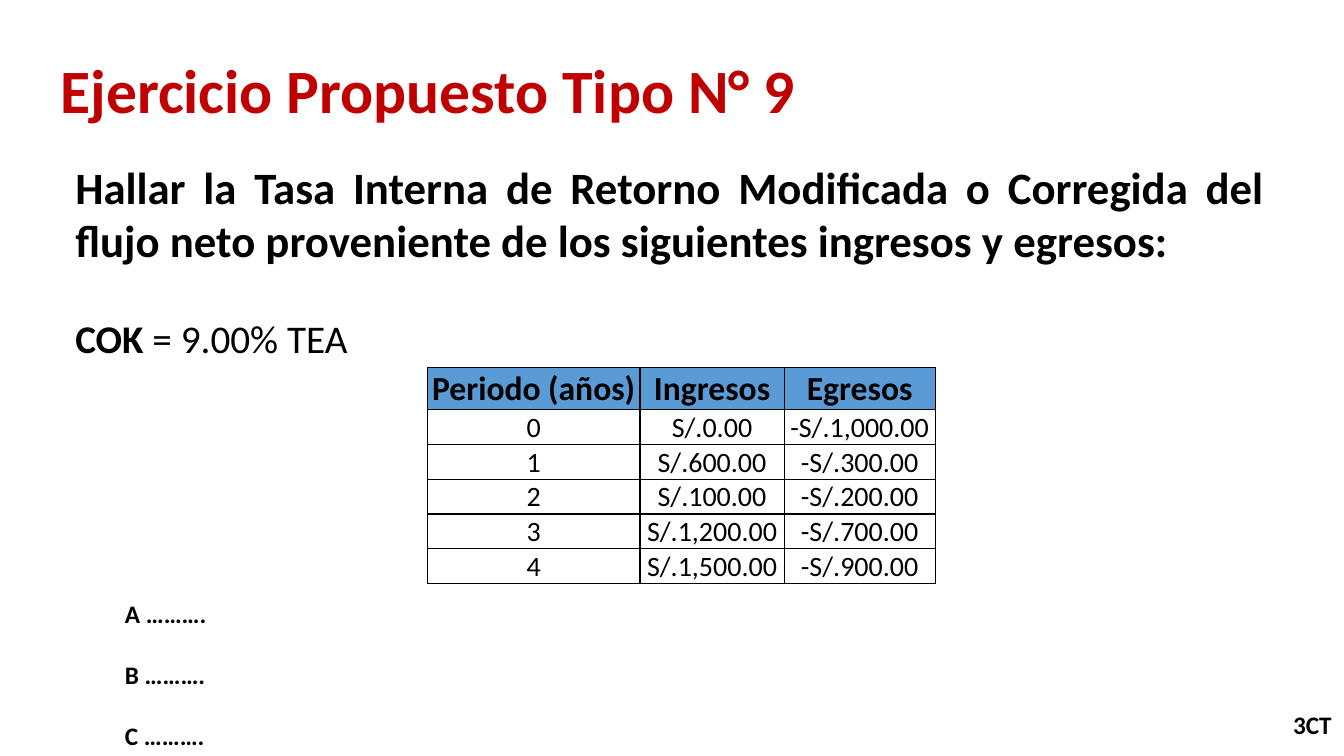
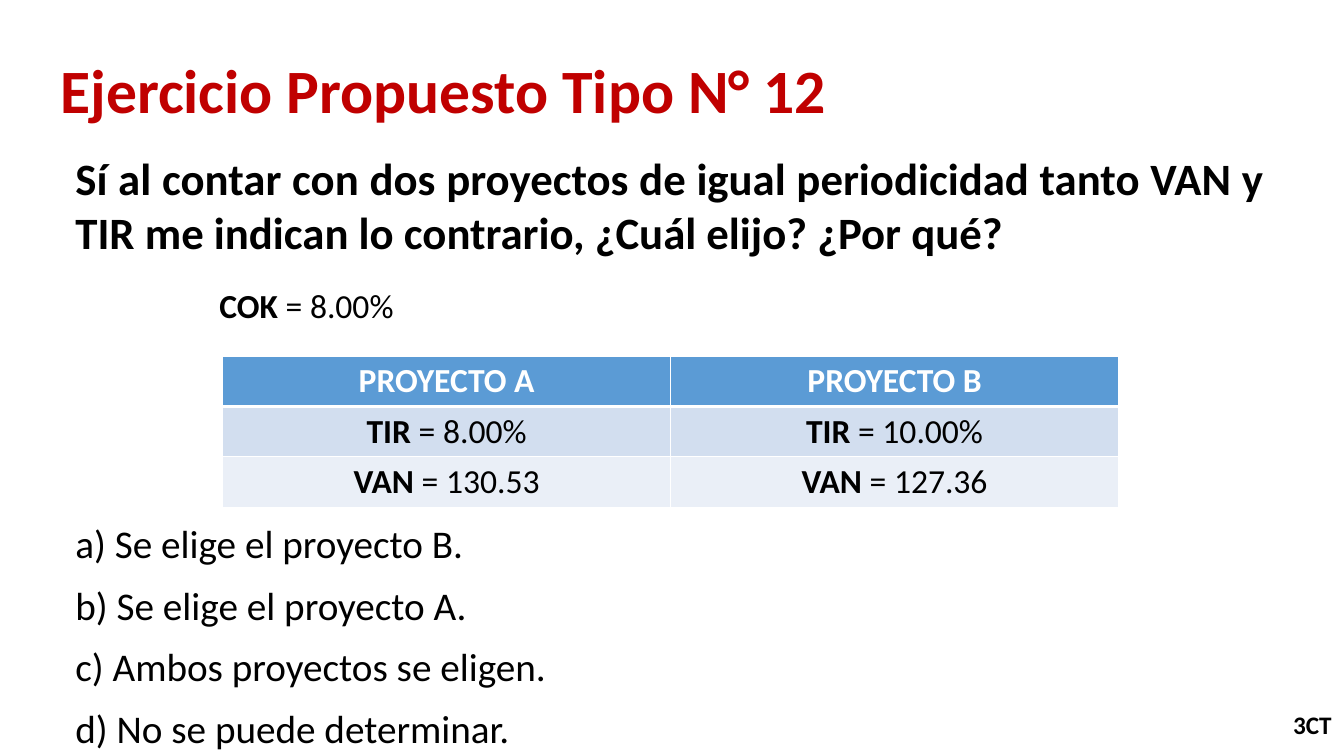
"""Builds two finance exercise slides, each with a statement, a table and answer options."""
import pptx
import pptx.dml.color
import pptx.enum.text
import pptx.oxml
import pptx.oxml.ns
import pptx.util

Cm, Pt = pptx.util.Cm, pptx.util.Pt
ALIGN = pptx.enum.text.PP_ALIGN
ANCHOR = pptx.enum.text.MSO_ANCHOR

FONT = "Calibri"
RED, BLACK, WHITE, BLUE = "C00000", "000000", "FFFFFF", "5B9BD5"
TITLE_BOX = (1.27, 0.76, 22.86, 3.18)
TAG, TAG_BOX = "3CT", (32.26, 17.45, 1.55, 1.6)

SLIDES = [
    {
        "title": "Ejercicio Propuesto Tipo N° 9",
        "texts": [
            {"box": (1.65, 3.89, 30.48, 5.38), "paragraphs": [
                {"runs": [("Hallar la Tasa Interna de Retorno Modificada o Corregida del "
                           "flujo neto proveniente de los siguientes ingresos y egresos:", True)],
                 "size": 32},
                {"runs": [("COK", True), (" = 9.00% TEA", False)], "size": 28, "before": 34}]},
            {"box": (2.9, 14.94, 2.59, 4.11), "wrap": False, "paragraphs": [
                {"runs": [(f"{letter} ……….", True)], "size": 18, "before": before}
                for letter, before in (("A", 0), ("B", 22), ("C", 22))]},
        ],
        "table": {
            "at": (10.77, 9.27), "cols": (5.36, 3.63, 3.81), "head_height": 1.04,
            "row_height": 0.87, "sizes": (24, 20), "head_color": BLACK, "bands": (None,),
            "line": BLACK, "head_rule": 1, "tight": True,
            "head": ["Periodo (años)", "Ingresos", "Egresos"],
            "rows": [
                ["0", "S/.0.00", "-S/.1,000.00"],
                ["1", "S/.600.00", "-S/.300.00"],
                ["2", "S/.100.00", "-S/.200.00"],
                ["3", "S/.1,200.00", "-S/.700.00"],
                ["4", "S/.1,500.00", "-S/.900.00"],
            ],
        },
    },
    {
        "title": "Ejercicio Propuesto Tipo N° 12",
        "texts": [
            {"box": (1.65, 3.68, 30.48, 3), "paragraphs": [
                {"runs": [("Sí al contar con dos proyectos de igual periodicidad tanto VAN y "
                           "TIR me indican lo contrario, ¿Cuál elijo? ¿Por qué?", True)],
                 "size": 32}]},
            {"box": (-0.76, 7.06, 16.97, 1.27), "paragraphs": [
                {"runs": [("COK", True), (" = 8.00%", False)], "size": 24,
                 "align": ALIGN.CENTER}]},
            {"box": (1.65, 12.88, 17.6, 6.17), "paragraphs": [
                {"runs": [(option, False)], "size": 28, "after": 8, "spacing": 1.07}
                for option in ("a) Se elige el proyecto B.", "b) Se elige el proyecto A.",
                               "c) Ambos proyectos se eligen.", "d) No se puede determinar.")]},
        ],
        "table": {
            "at": (5.61, 8.97), "cols": (11.29, 11.29), "head_height": 1.27,
            "row_height": 1.27, "sizes": (24, 24), "head_color": WHITE,
            "bands": ("D2DEEF", "EAEFF7"), "line": WHITE, "head_rule": 3, "tight": False,
            "head": ["PROYECTO A", "PROYECTO B"],
            "rows": [
                [[("TIR", True), (" = 8.00%", False)], [("TIR", True), (" = 10.00%", False)]],
                [[("VAN", True), (" = 130.53", False)], [("VAN", True), (" = 127.36", False)]],
            ],
        },
    },
]


def rgb(value):
    return pptx.dml.color.RGBColor.from_string(value)


def cms(values):
    return [Cm(v) for v in values]


def write(p, runs, size, color=BLACK, align=ALIGN.JUSTIFY, before=0, after=0, spacing=1.0):
    p.alignment, p.line_spacing = align, spacing
    p.space_before, p.space_after = Pt(before), Pt(after)
    p.font.name, p.font.size = FONT, Pt(size)
    p.font.color.rgb = rgb(color)
    for text, bold in runs:
        r = p.add_run()
        r.text, r.font.bold = text, bold


def add_text(s, box, paragraphs, wrap=True, anchor=ANCHOR.TOP):
    tf = s.shapes.add_textbox(*cms(box)).text_frame
    tf.word_wrap, tf.vertical_anchor = wrap, anchor
    for i, paragraph in enumerate(paragraphs):
        write(tf.add_paragraph() if i else tf.paragraphs[0], **paragraph)


def set_borders(cell, color, widths):
    tcPr = cell._tc.get_or_add_tcPr()
    for i, (side, width) in enumerate(zip("LRTB", widths)):
        tcPr.insert(i, pptx.oxml.parse_xml(
            f'<a:ln{side} {pptx.oxml.ns.nsdecls("a")} w="{Pt(width)}"><a:solidFill>'
            f'<a:srgbClr val="{color}"/></a:solidFill></a:ln{side}>'))


def add_table(s, t):
    rows = [t["head"]] + t["rows"]
    heights = [t["head_height"]] + [t["row_height"]] * len(t["rows"])
    table = s.shapes.add_table(len(rows), len(t["cols"]), *cms(t["at"]),
                               Cm(sum(t["cols"])), Cm(sum(heights))).table
    table.horz_banding = False
    for column, width in zip(table.columns, t["cols"]):
        column.width = Cm(width)
    for i, (row, height) in enumerate(zip(rows, heights)):
        table.rows[i].height = Cm(height)
        is_head = i == 0
        fill = BLUE if is_head else t["bands"][(i - 1) % len(t["bands"])]
        top = t["head_rule"] if i == 1 else 1
        bottom = t["head_rule"] if is_head else 1
        for j, content in enumerate(row):
            cell = table.cell(i, j)
            if t["tight"]:
                cell.vertical_anchor = ANCHOR.BOTTOM
                cell.margin_left = cell.margin_right = cell.margin_top = Cm(0.03)
                cell.margin_bottom = 0
            runs = [(content, is_head)] if isinstance(content, str) else content
            write(cell.text_frame.paragraphs[0], runs, t["sizes"][0 if is_head else 1],
                  t["head_color"] if is_head else BLACK, ALIGN.CENTER)
            if fill:
                cell.fill.solid()
                cell.fill.fore_color.rgb = rgb(fill)
            else:
                cell.fill.background()
            set_borders(cell, t["line"], (1, 1, top, bottom))


def add_title(s, text):
    title = s.shapes.title
    title.left, title.top, title.width, title.height = cms(TITLE_BOX)
    tf = title.text_frame
    tf.vertical_anchor = ANCHOR.MIDDLE
    write(tf.paragraphs[0], [(text, True)], 44, RED, ALIGN.LEFT, spacing=0.9)


def main():
    prs = pptx.Presentation()
    prs.slide_width, prs.slide_height = cms((33.87, 19.05))
    for content in SLIDES:
        s = prs.slides.add_slide(prs.slide_layouts[5])
        add_text(s, TAG_BOX, [{"runs": [(TAG, True)], "size": 18, "align": ALIGN.RIGHT}],
                 anchor=ANCHOR.MIDDLE)
        add_title(s, content["title"])
        add_table(s, content["table"])
        for text in content["texts"]:
            add_text(s, **text)
    prs.save("out.pptx")


if __name__ == "__main__":
    main()
